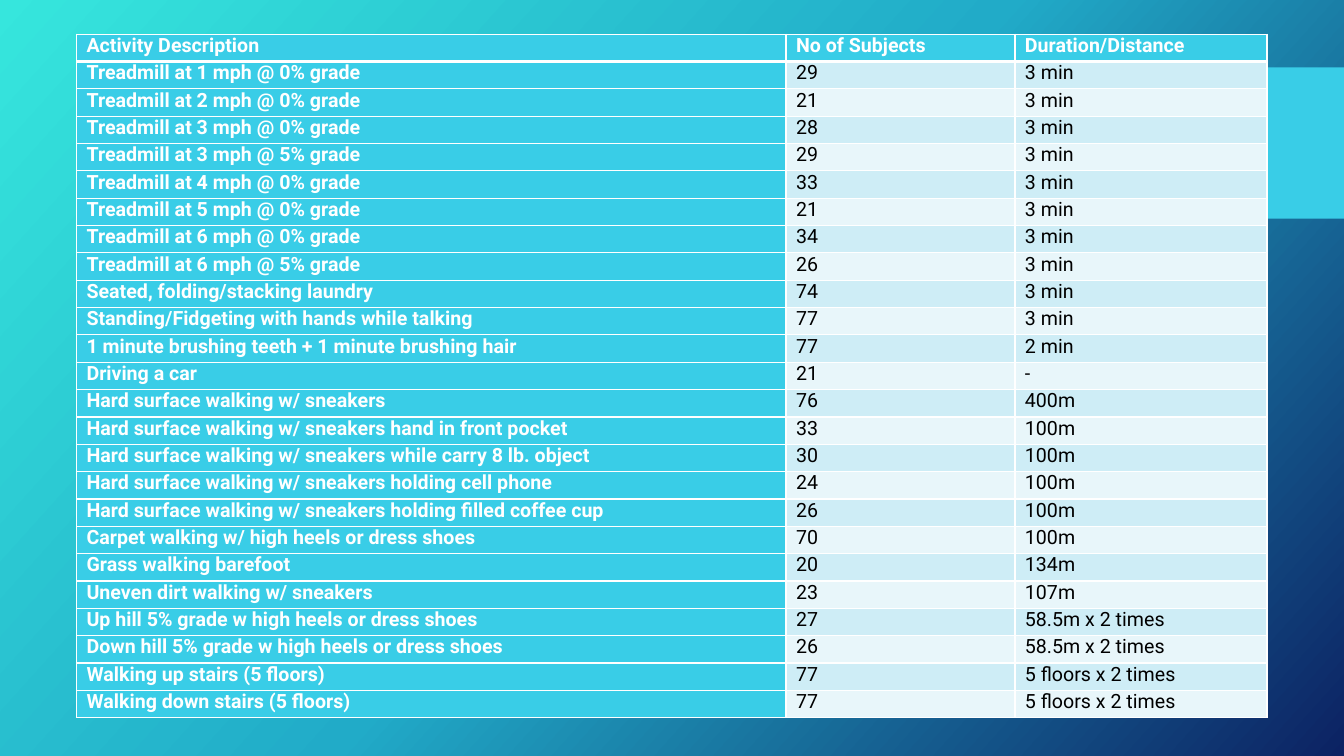
from copy import deepcopy
from dataclasses import dataclass
from typing import NamedTuple

from lxml.etree import SubElement
from pptx import Presentation
from pptx.dml.color import RGBColor as Rgb
from pptx.enum.shapes import MSO_SHAPE as Preset
from pptx.enum.text import MSO_ANCHOR as Anchor
from pptx.oxml.ns import qn
from pptx.slide import Slide
from pptx.table import _Cell as Cell
from pptx.util import Cm, Pt


@dataclass(frozen=True)
class Theme:
    font: str = "Roboto"
    text_size: int = 14
    thin_line: int = 1
    thick_line: int = 3
    accent: str = "39CDE7"
    dark_band: str = "CEEDF6"
    light_band: str = "E8F6FA"
    white: str = "FFFFFF"
    black: str = "000000"
    gradient: tuple[str, ...] = ("36E6DD", "21ABC8", "0C2263")
    gradient_angle: int = 42


class Activity(NamedTuple):
    description: str
    subjects: str
    extent: str


THEME = Theme()
COLUMN_WIDTHS = (Cm(17.88), Cm(5.77), Cm(6.35))
ROW_HEIGHT = Cm(0.69)
ROWS = (
    Activity("Activity Description", "No of Subjects", "Duration/Distance"),
    Activity("Treadmill at 1 mph @ 0% grade", "29", "3 min"),
    Activity("Treadmill at 2 mph @ 0% grade", "21", "3 min"),
    Activity("Treadmill at 3 mph @ 0% grade", "28", "3 min"),
    Activity("Treadmill at 3 mph @ 5% grade", "29", "3 min"),
    Activity("Treadmill at 4 mph @ 0% grade", "33", "3 min"),
    Activity("Treadmill at 5 mph @ 0% grade", "21", "3 min"),
    Activity("Treadmill at 6 mph @ 0% grade", "34", "3 min"),
    Activity("Treadmill at 6 mph @ 5% grade", "26", "3 min"),
    Activity("Seated, folding/stacking laundry", "74", "3 min"),
    Activity("Standing/Fidgeting with hands while talking", "77", "3 min"),
    Activity("1 minute brushing teeth + 1 minute brushing hair", "77", "2 min"),
    Activity("Driving a car", "21", "-"),
    Activity("Hard surface walking w/ sneakers", "76", "400m"),
    Activity("Hard surface walking w/ sneakers hand in front pocket", "33", "100m"),
    Activity("Hard surface walking w/ sneakers while carry 8 lb. object", "30", "100m"),
    Activity("Hard surface walking w/ sneakers holding cell phone", "24", "100m"),
    Activity("Hard surface walking w/ sneakers holding ﬁlled coffee cup", "26", "100m"),
    Activity("Carpet walking w/ high heels or dress shoes", "70", "100m"),
    Activity("Grass walking barefoot", "20", "134m"),
    Activity("Uneven dirt walking w/ sneakers", "23", "107m"),
    Activity("Up hill 5% grade w high heels or dress shoes", "27", "58.5m x 2 times"),
    Activity("Down hill 5% grade w high heels or dress shoes", "26", "58.5m x 2 times"),
    Activity("Walking up stairs (5 ﬂoors)", "77", "5 ﬂoors x 2 times"),
    Activity("Walking down stairs (5 ﬂoors)", "77", "5 ﬂoors x 2 times"),
)


def paint_background(slide: Slide) -> None:
    fill = slide.background.fill
    fill.gradient()
    fill.gradient_angle = 360 - THEME.gradient_angle
    stop_list = slide.element.find(".//" + qn("a:gsLst"))
    stop_list.append(deepcopy(stop_list[0]))
    for index, (stop, color) in enumerate(zip(fill.gradient_stops, THEME.gradient)):
        stop.position = index / (len(THEME.gradient) - 1)
        stop.color.rgb = Rgb.from_string(color)


def add_side_block(slide: Slide) -> None:
    block = slide.shapes.add_shape(Preset.RECTANGLE, Cm(29.41), Cm(1.7), Cm(4.46), Cm(3.81))
    block.shadow.inherit = False
    block.fill.solid()
    block.fill.fore_color.rgb = Rgb.from_string(THEME.accent)
    block.line.fill.background()


def add_borders(cell: Cell, row: int) -> None:
    properties = cell._tc.get_or_add_tcPr()
    thick_side = {0: "lnB", 1: "lnT"}.get(row)
    for side in ("lnL", "lnR", "lnT", "lnB"):
        width = THEME.thick_line if side == thick_side else THEME.thin_line
        line = SubElement(properties, qn(f"a:{side}"), w=str(Pt(width)))
        SubElement(SubElement(line, qn("a:solidFill")), qn("a:srgbClr"), val=THEME.white)


def fill_cell(cell: Cell, text: str, row: int, column: int) -> None:
    is_heading = row == 0 or column == 0
    band = THEME.dark_band if row % 2 else THEME.light_band
    add_borders(cell, row)
    cell.fill.solid()
    cell.fill.fore_color.rgb = Rgb.from_string(THEME.accent if is_heading else band)
    cell.margin_left = cell.margin_right = Cm(0.25)
    cell.margin_top = cell.margin_bottom = Cm(0)
    cell.vertical_anchor = Anchor.TOP
    run = cell.text_frame.paragraphs[0].add_run()
    run.text = text
    run.font.name = THEME.font
    run.font.size = Pt(THEME.text_size)
    run.font.bold = is_heading
    run.font.color.rgb = Rgb.from_string(THEME.white if is_heading else THEME.black)


def add_activity_table(slide: Slide) -> None:
    table = slide.shapes.add_table(
        len(ROWS), len(COLUMN_WIDTHS), Cm(1.93), Cm(0.86),
        sum(COLUMN_WIDTHS), ROW_HEIGHT * len(ROWS),
    ).table
    for column, width in zip(table.columns, COLUMN_WIDTHS):
        column.width = width
    for row, activity in enumerate(ROWS):
        table.rows[row].height = ROW_HEIGHT
        for column, text in enumerate(activity):
            fill_cell(table.cell(row, column), text, row, column)


def main() -> None:
    """Build the slide listing the recorded activities."""
    presentation = Presentation()
    presentation.slide_width = Cm(33.87)
    presentation.slide_height = Cm(19.05)
    slide = presentation.slides.add_slide(presentation.slide_layouts[6])
    paint_background(slide)
    add_side_block(slide)
    add_activity_table(slide)
    presentation.save("out.pptx")


if __name__ == "__main__":
    main()
